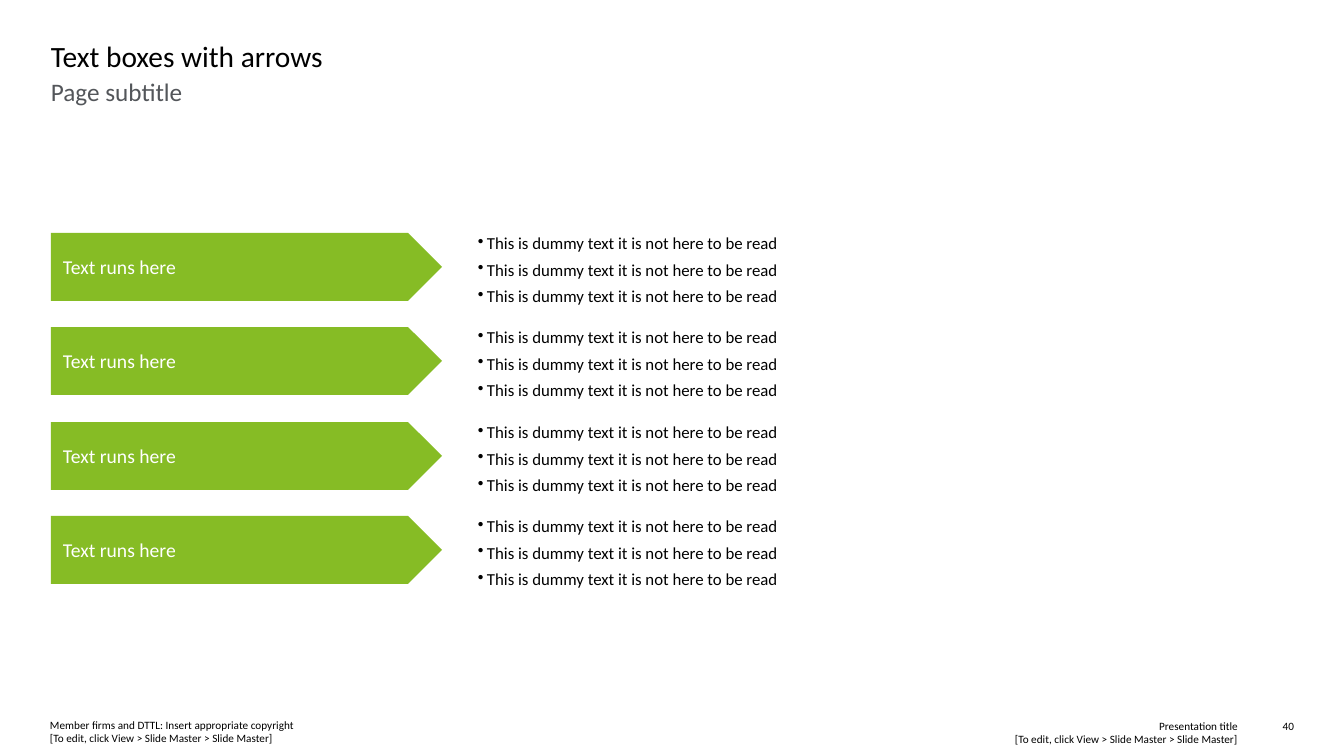
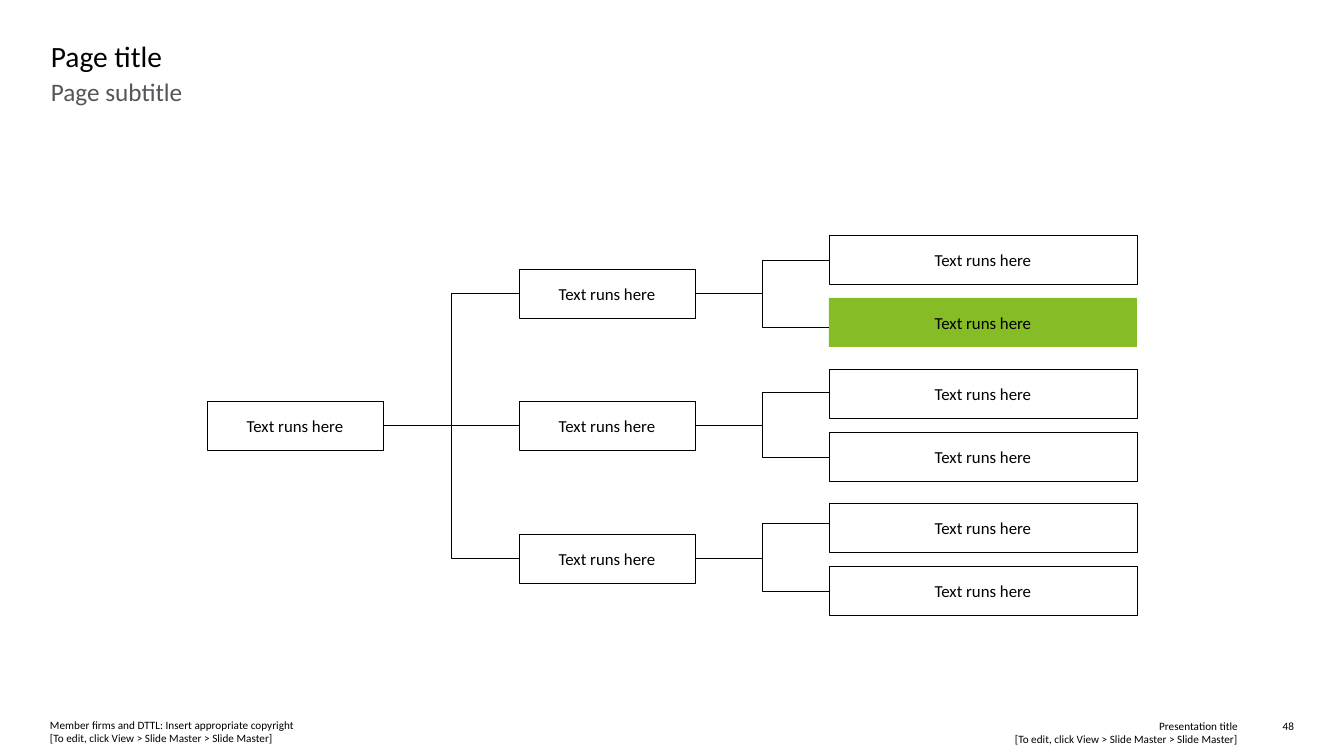
import pptx
import pptx.util
import pptx.dml.color
import pptx.enum.shapes
import pptx.enum.text
import pptx.oxml.ns
import lxml.etree

PX = 914400 / 100.8
FONT = "Calibri"
GREEN = pptx.dml.color.RGBColor(0x86, 0xBC, 0x25)
GREY = pptx.dml.color.RGBColor(0x53, 0x56, 0x5A)
BLACK = pptx.dml.color.RGBColor(0x00, 0x00, 0x00)
WHITE = pptx.dml.color.RGBColor(0xFF, 0xFF, 0xFF)
LEFT, CENTER, RIGHT = (pptx.enum.text.PP_ALIGN.LEFT, pptx.enum.text.PP_ALIGN.CENTER,
                       pptx.enum.text.PP_ALIGN.RIGHT)
TOP, MIDDLE = pptx.enum.text.MSO_ANCHOR.TOP, pptx.enum.text.MSO_ANCHOR.MIDDLE
SHAPE = pptx.enum.shapes.MSO_SHAPE
CONNECTOR = pptx.enum.shapes.MSO_CONNECTOR
HAIRLINE = pptx.util.Pt(0.25)
LABEL = "Text runs here"
DUMMY = "This is dummy text it is not here to be read"
EDIT_HINT = "[To edit, click View > Slide Master > Slide Master]"

# Title, subtitle and footers shared by both slides: text, box, size, colour, alignment
SUBTITLE = ("Page subtitle", (51, 76, 1243, 84), 18, GREY, LEFT)
COPYRIGHT = ("Member firms and DTTL: Insert appropriate copyright\n" + EDIT_HINT,
             (50, 718, 591, 27), 8, BLACK, LEFT)
DECK_TITLE = ("Presentation title\n" + EDIT_HINT, (699, 719, 539, 27), 8, BLACK, RIGHT)


def px(*lengths):
    return [pptx.util.Emu(round(length * PX)) for length in lengths]


def write(shape, lines, size, color, align=LEFT, anchor=TOP, insets=(0, 0, 0, 0), bulleted=False):
    left, top, right, bottom = px(*insets)
    frame_format = {"word_wrap": True, "vertical_anchor": anchor, "margin_left": left,
                    "margin_top": top, "margin_right": right, "margin_bottom": bottom}
    for name, value in frame_format.items():
        setattr(shape.text_frame, name, value)
    for index, line in enumerate(lines):
        paragraph = (shape.text_frame.add_paragraph() if index
                     else shape.text_frame.paragraphs[0])
        paragraph.text = line
        paragraph.alignment = align
        if index:
            paragraph.space_before = pptx.util.Pt(4.5)
        if bulleted:
            properties = paragraph._p.get_or_add_pPr()
            indent, = px(9)
            properties.set("marL", str(indent))
            properties.set("indent", str(-indent))
            bullet = lxml.etree.SubElement(properties, pptx.oxml.ns.qn("a:buChar"))
            bullet.set("char", "•")
        for name, value in {"name": FONT, "size": pptx.util.Pt(size)}.items():
            setattr(paragraph.font, name, value)
        paragraph.font.color.rgb = color


deck = pptx.Presentation()
deck.slide_width, deck.slide_height = px(1344, 756)

# Both slides with their common frame
slides = []
for title, number in (("Text boxes with arrows", "40"), ("Page title", "48")):
    slide = deck.slides.add_slide(deck.slide_layouts[6])
    heading = (title, (51, 38, 1243, 37), 21, BLACK, LEFT)
    page_number = (number, (1260, 719, 34, 13), 8, BLACK, RIGHT)
    for text, place, size, color, align in (DECK_TITLE, COPYRIGHT, page_number, SUBTITLE, heading):
        write(slide.shapes.add_textbox(*px(*place)), [text], size, color, align)
    slides.append(slide)
arrow_slide, tree_slide = slides

# Arrows, each with its bullet list
for row in range(4):
    row_top = 233 + row * 189 // 2
    arrow = arrow_slide.shapes.add_shape(SHAPE.PENTAGON, *px(51, row_top, 391, 68))
    arrow.shadow.inherit = False
    arrow.fill.solid()
    arrow.fill.fore_color.rgb = GREEN
    arrow.line.fill.background()
    write(arrow, [LABEL], 14, WHITE, anchor=MIDDLE, insets=(12, 7, 7, 7))
    points = arrow_slide.shapes.add_textbox(*px(478, row_top, 476, 68))
    write(points, [DUMMY] * 3, 12, BLACK, bulleted=True)

# Tree boxes, one column per level
levels = ((207, 176, (401,)),
          (519, 176, (269, 401, 534)),
          (829, 308, (235, 298, 369, 432, 503, 566)))
tree = []
for level_left, width, tops in levels:
    boxes = []
    for top in tops:
        box = tree_slide.shapes.add_shape(SHAPE.RECTANGLE, *px(level_left, top, width, 49))
        box.shadow.inherit = False
        box.fill.background()
        box.line.color.rgb = BLACK
        box.line.width = HAIRLINE
        write(box, [LABEL], 12, BLACK, CENTER, MIDDLE)
        boxes.append(box)
    tree.append(boxes)
(root,), branches, leaves = tree
highlight = leaves[1]
highlight.fill.solid()
highlight.fill.fore_color.rgb = GREEN
highlight.line.fill.background()

# Links: parent box, x and y of the far end
links = [(root, branch.left, branch.top + branch.height // 2) for branch in branches]
for branch, leaf_ends in zip(branches, ((260, 327), (392, 457), (523, 591))):
    links += [(branch, leaves[0].left, end) for end in px(*leaf_ends)]
for parent, end_x, end_y in links:
    start_x, start_y = parent.left + parent.width, parent.top + parent.height // 2
    straight = start_y == end_y
    link = tree_slide.shapes.add_connector(CONNECTOR.STRAIGHT if straight else CONNECTOR.ELBOW,
                                           start_x, start_y, end_x, end_y)
    if straight:
        link.begin_connect(root, 3)
        link.end_connect(branches[1], 1)
    link.line.color.rgb = BLACK
    link.line.width = HAIRLINE
    lxml.etree.SubElement(link._element.spPr, pptx.oxml.ns.qn("a:effectLst"))

deck.save("out.pptx")
